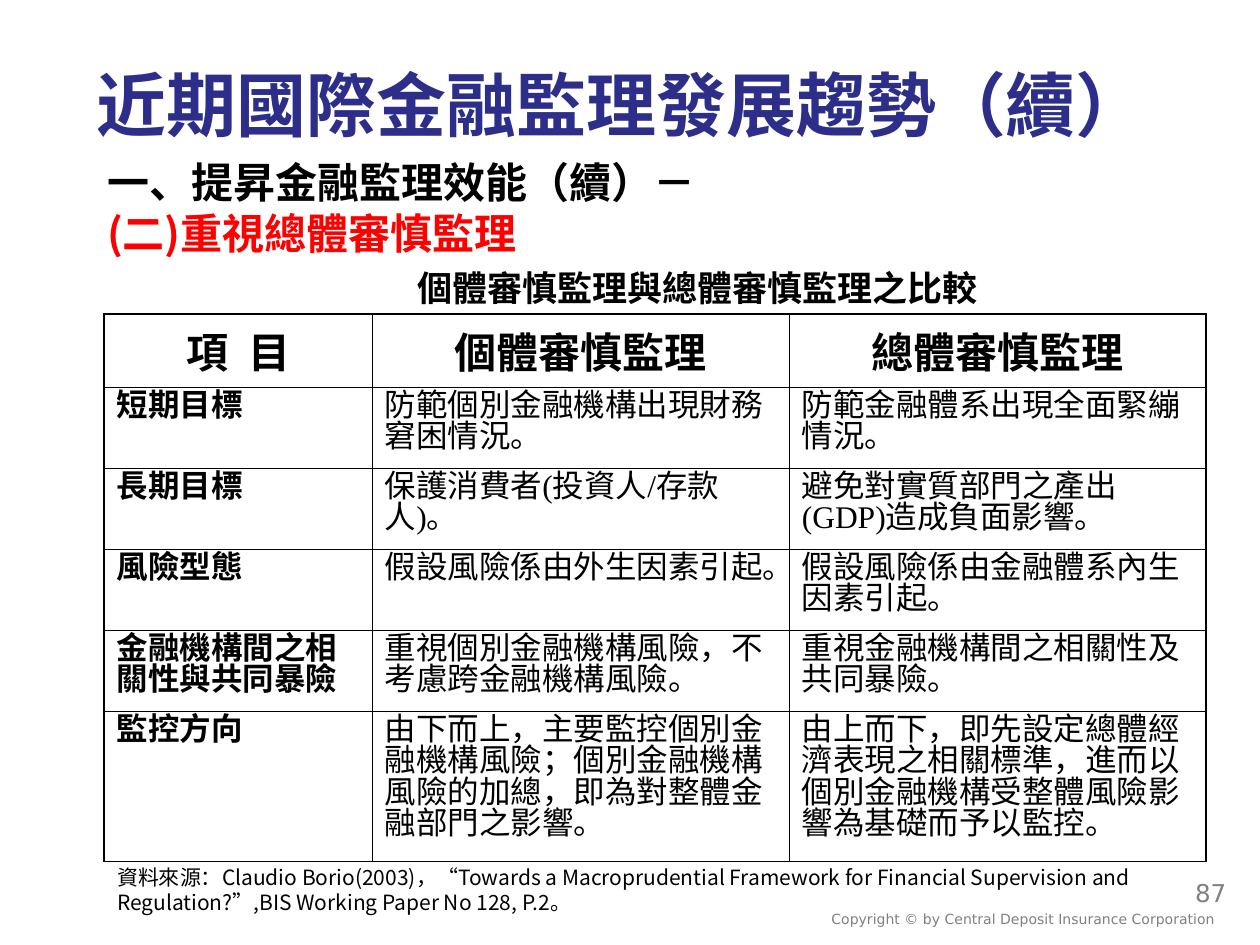
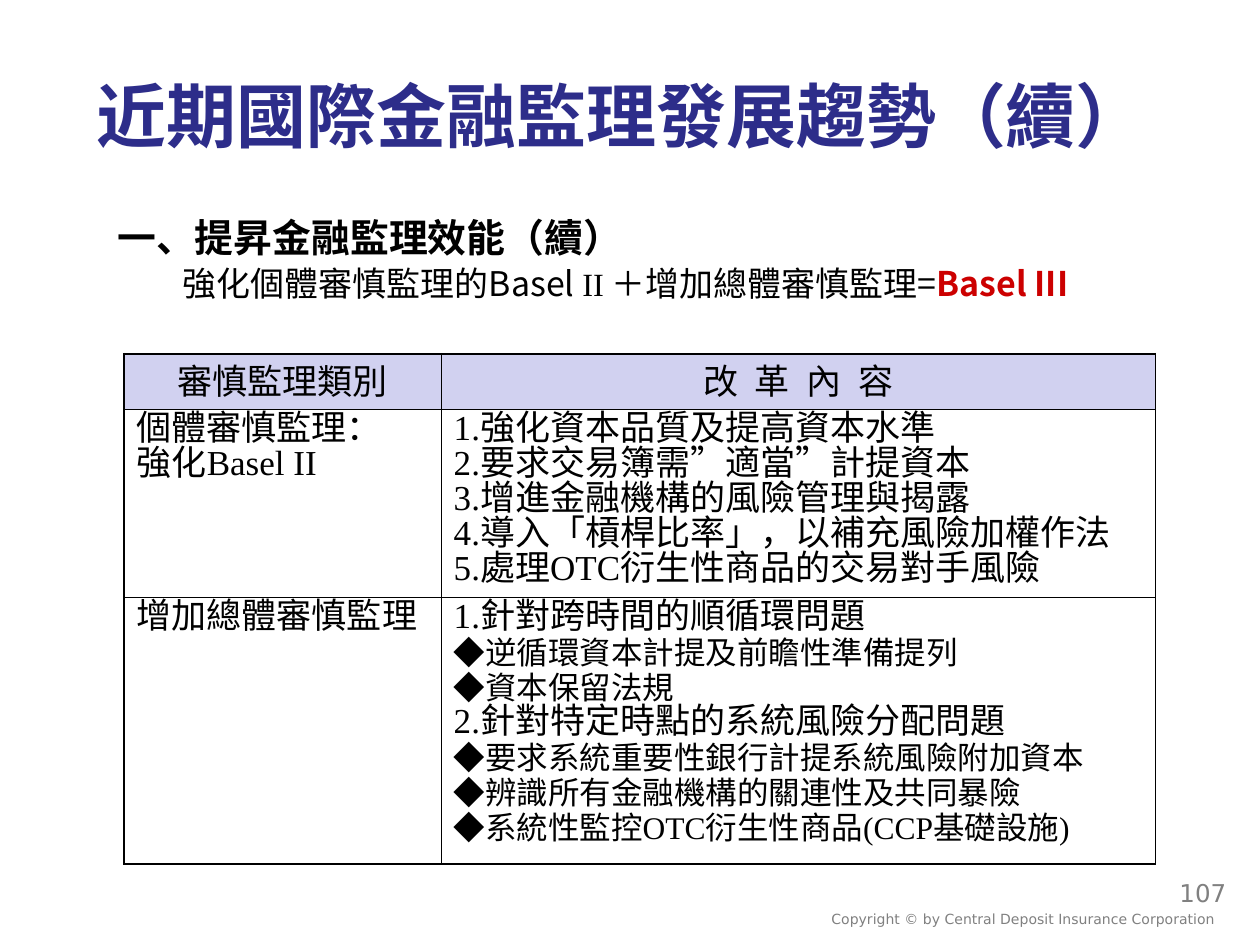
"""Build two slides on recent trends in international financial supervision."""
from lxml import etree
from pptx import Presentation
from pptx.dml.color import RGBColor
from pptx.enum.text import MSO_ANCHOR, MSO_AUTO_SIZE, PP_ALIGN
from pptx.oxml.ns import qn
from pptx.util import Pt

LEFT, CENTER, RIGHT, JUSTIFY = PP_ALIGN.LEFT, PP_ALIGN.CENTER, PP_ALIGN.RIGHT, PP_ALIGN.JUSTIFY
MIDDLE, TOP = MSO_ANCHOR.MIDDLE, MSO_ANCHOR.TOP
NO_AUTOFIT = MSO_AUTO_SIZE.NONE

NAVY, BLACK, RED, DARK_RED = "2D2D8A", "000000", "FF0000", "CC0000"
GRAY, LAVENDER = "808080", "D1D1F0"
SANS, SERIF, CJK, TITLE_FONT = "DejaVu Sans", "Times New Roman", "Noto Sans CJK SC", "Calibri"
OUTER_BORDER, INNER_BORDER = Pt(1.08), Pt(0.45)

TITLE = "近期國際金融監理發展趨勢（續）"
COPYRIGHT = "Copyright © by Central Deposit Insurance Corporation"


def color(value):
    """Turn a hex string into a colour."""
    return RGBColor.from_string(value)


def write(text_frame, entries):
    """Fill a text frame with (runs, paragraph format) entries."""
    text_frame.word_wrap = True
    for index, (runs, options) in enumerate(entries):
        paragraph = text_frame.paragraphs[0] if index == 0 else text_frame.add_paragraph()
        options = {"alignment": LEFT, "space_before": Pt(0), "margin": 0, "indent": 0, "bullet": None} | options
        if index == 0:
            options["space_before"] = Pt(0)
        properties = paragraph._p.get_or_add_pPr()
        properties.set("marL", str(Pt(options.pop("margin"))))
        properties.set("indent", str(Pt(options.pop("indent"))))
        bullet = options.pop("bullet")
        if bullet:
            bullet_color = etree.SubElement(properties, qn("a:buClr"))
            etree.SubElement(bullet_color, qn("a:srgbClr"), val=BLACK)
            etree.SubElement(properties, qn("a:buFont"), typeface=CJK)
            etree.SubElement(properties, qn("a:buChar"), char=bullet)
        else:
            etree.SubElement(properties, qn("a:buNone"))
        for name, value in options.items():
            setattr(paragraph, name, value)
        for text, style in runs:
            style = {"bold": False, "color": BLACK, "spacing": 0} | style
            run = paragraph.add_run()
            run.text = text
            run.font.color.rgb = color(style.pop("color"))
            run_properties = run._r.get_or_add_rPr()
            run_properties.set("spc", str(style.pop("spacing")))
            for name, value in style.items():
                setattr(run.font, name, value)
            east_asian = etree.Element(qn("a:ea"), typeface=CJK)
            run_properties.find(qn("a:latin")).addnext(east_asian)


title_style = {"name": TITLE_FONT, "size": Pt(40), "bold": True, "color": NAVY}
number_style = {"name": SANS, "size": Pt(14), "color": GRAY}
copyright_style = {"name": SANS, "size": Pt(8), "color": GRAY}

comparison_header = {"name": CJK, "size": Pt(24), "bold": True}
comparison_text = {"name": SERIF, "size": Pt(18)}
comparison_label = comparison_text | {"bold": True}
reform_text = {"name": SERIF, "size": Pt(20)}
reform_detail = {"name": SERIF, "size": Pt(18)}
formula_text = {"name": CJK, "size": Pt(19.4)}

heading_format = {"margin": 28, "indent": -28, "line_spacing": Pt(26), "space_before": Pt(3)}
caption_format = heading_format | {"margin": 75, "indent": -15, "level": 2, "alignment": CENTER}
formula_format = {"margin": 27.4, "indent": -27.4, "line_spacing": 0.85, "space_before": Pt(5.2)}
detail_format = {"margin": 14.4, "indent": -14.4, "line_spacing": Pt(20), "bullet": "◆", "level": 1}
reform_format = {"line_spacing": Pt(20)}
reform_header_format = {"alignment": CENTER, "line_spacing": 0.85}

comparison_rows = [
    ("短期目標", "防範個別金融機構出現財務窘困情況。", "防範金融體系出現全面緊繃情況。"),
    ("長期目標", "保護消費者(投資人/存款人)。", "避免對實質部門之產出(GDP)造成負面影響。"),
    ("風險型態", "假設風險係由外生因素引起。", "假設風險係由金融體系內生因素引起。"),
    ("金融機構間之相關性與共同暴險", "重視個別金融機構風險，不考慮跨金融機構風險。",
     "重視金融機構間之相關性及共同暴險。"),
    ("監控方向", "由下而上，主要監控個別金融機構風險；個別金融機構風險的加總，即為對整體金融部門之影響。",
     "由上而下，即先設定總體經濟表現之相關標準，進而以個別金融機構受整體風險影響為基礎而予以監控。"),
]
comparison_cells = [[
    [([(text, comparison_header | {"spacing": spacing})], {"alignment": CENTER})]
    for text, spacing in (("項 目", 300), ("個體審慎監理", 0), ("總體審慎監理", 0))
]]
for row in comparison_rows:
    comparison_cells.append([
        [([(text, comparison_text if column else comparison_label)], {"line_spacing": Pt(18)})]
        for column, text in enumerate(row)
    ])

reform_rows = [
    (["個體審慎監理：", "強化Basel II"],
     ["1.強化資本品質及提高資本水準", "2.要求交易簿需”適當”計提資本", "3.增進金融機構的風險管理與揭露",
      "4.導入「槓桿比率」，以補充風險加權作法", "5.處理OTC衍生性商品的交易對手風險"]),
    (["增加總體審慎監理"],
     ["1.針對跨時間的順循環問題",
      ("逆循環資本計提及前瞻性準備提列", "資本保留法規"),
      "2.針對特定時點的系統風險分配問題",
      ("要求系統重要性銀行計提系統風險附加資本", "辨識所有金融機構的關連性及共同暴險",
       "系統性監控OTC衍生性商品(CCP基礎設施)")]),
]
reform_cells = [[
    [([(text, reform_text | {"spacing": spacing})], reform_header_format)]
    for text, spacing in (("審慎監理類別", 0), ("改 革 內 容", 250))
]]
for row in reform_rows:
    row_cells = []
    for items in row:
        entries = []
        for item in items:
            if isinstance(item, tuple):
                entries += [([(text, reform_detail)], detail_format) for text in item]
            else:
                entries.append(([(item, reform_text)], reform_format))
        row_cells.append(entries)
    reform_cells.append(row_cells)

slides = [
    {
        "number": "87",
        "title_top": 31.7,
        "body_box": (54, 88.6, 629.3, 85),
        "body": [
            ([("一、提昇金融監理效能（續）－", {"name": SANS, "size": Pt(24), "bold": True})], heading_format),
            ([("(二)重視總體審慎監理", {"name": CJK, "size": Pt(24), "bold": True, "color": RED})],
             heading_format),
            ([("個體審慎監理與總體審慎監理之比較", {"name": SERIF, "size": Pt(20), "bold": True})],
             caption_format),
        ],
        "table_origin": (59.6, 179.4),
        "columns": (153.2, 238.2, 238.2),
        "rows": (36, 46.3, 46.3, 46.3, 46.3, 85.7),
        "cells": comparison_cells,
        "header_fill": None,
        "boxes": [((59.8, 491, 594, 35.3), [
            ([("資料來源：Claudio Borio(2003)，“Towards a Macroprudential Framework for Financial "
               "Supervision and Regulation?”,BIS Working Paper No 128, P.2。",
               {"name": CJK, "size": Pt(12)})], {"line_spacing": Pt(14)}),
        ])],
    },
    {
        "number": "107",
        "title_top": 37.5,
        "body_box": (59.8, 122.4, 595.4, 73.4),
        "body": [
            ([("一、提昇金融監理效能（續）", {"name": TITLE_FONT, "size": Pt(22.2), "bold": True})],
             formula_format | {"alignment": JUSTIFY}),
            ([("強化個體審慎監理的Basel ", formula_text),
              ("II", {"name": SERIF, "size": Pt(18.5)}),
              (" ＋增加總體審慎監理=", formula_text),
              ("Basel III", formula_text | {"bold": True, "color": DARK_RED})],
             formula_format | {"alignment": CENTER}),
        ],
        "table_origin": (70.9, 202.1),
        "columns": (181.2, 408.3),
        "rows": (28.1, 107.3, 152.5),
        "cells": reform_cells,
        "header_fill": LAVENDER,
        "boxes": [],
    },
]

presentation = Presentation()
presentation.slide_width, presentation.slide_height = Pt(720), Pt(540)

for content in slides:
    slide = presentation.slides.add_slide(presentation.slide_layouts[1])
    title, body = slide.shapes.title, slide.placeholders[1]
    title_box = (48.2, content["title_top"], 635, 55.4)
    placeholders = [
        (title, title_box, MIDDLE, [([(TITLE, title_style)], {})]),
        (body, content["body_box"], TOP, content["body"]),
    ]
    for shape, box, anchor, entries in placeholders:
        shape.left, shape.top, shape.width, shape.height = map(Pt, box)
        shape.text_frame.auto_size = NO_AUTOFIT
        shape.text_frame.vertical_anchor = anchor
        write(shape.text_frame, entries)

    columns, rows = content["columns"], content["rows"]
    left, top = content["table_origin"]
    table = slide.shapes.add_table(
        len(rows), len(columns), Pt(left), Pt(top), Pt(sum(columns)), Pt(sum(rows))).table
    table.first_row = table.horz_banding = False
    for column, width in enumerate(columns):
        table.columns[column].width = Pt(width)
    for row, height in enumerate(rows):
        table.rows[row].height = Pt(height)
        for column in range(len(columns)):
            cell = table.cell(row, column)
            write(cell.text_frame, content["cells"][row][column])
            outer_sides = {
                "a:lnL": column == 0,
                "a:lnR": column == len(columns) - 1,
                "a:lnT": row == 0,
                "a:lnB": row == len(rows) - 1,
            }
            cell_properties = cell._tc.get_or_add_tcPr()
            for side, is_outer in outer_sides.items():
                width = OUTER_BORDER if is_outer else INNER_BORDER
                border = etree.SubElement(cell_properties, qn(side), w=str(width))
                border_fill = etree.SubElement(border, qn("a:solidFill"))
                etree.SubElement(border_fill, qn("a:srgbClr"), val=BLACK)
            if row == 0 and content["header_fill"]:
                cell.fill.solid()
                cell.fill.fore_color.rgb = color(content["header_fill"])
            else:
                cell.fill.background()

    footers = [
        ((558, 498.2, 149.8, 36), [([(content["number"], number_style)], {"alignment": RIGHT})]),
        ((468, 517, 258.5, 17.3), [([(COPYRIGHT, copyright_style)], {})]),
    ]
    for box, entries in content["boxes"] + footers:
        write(slide.shapes.add_textbox(*map(Pt, box)).text_frame, entries)

presentation.save("out.pptx")
